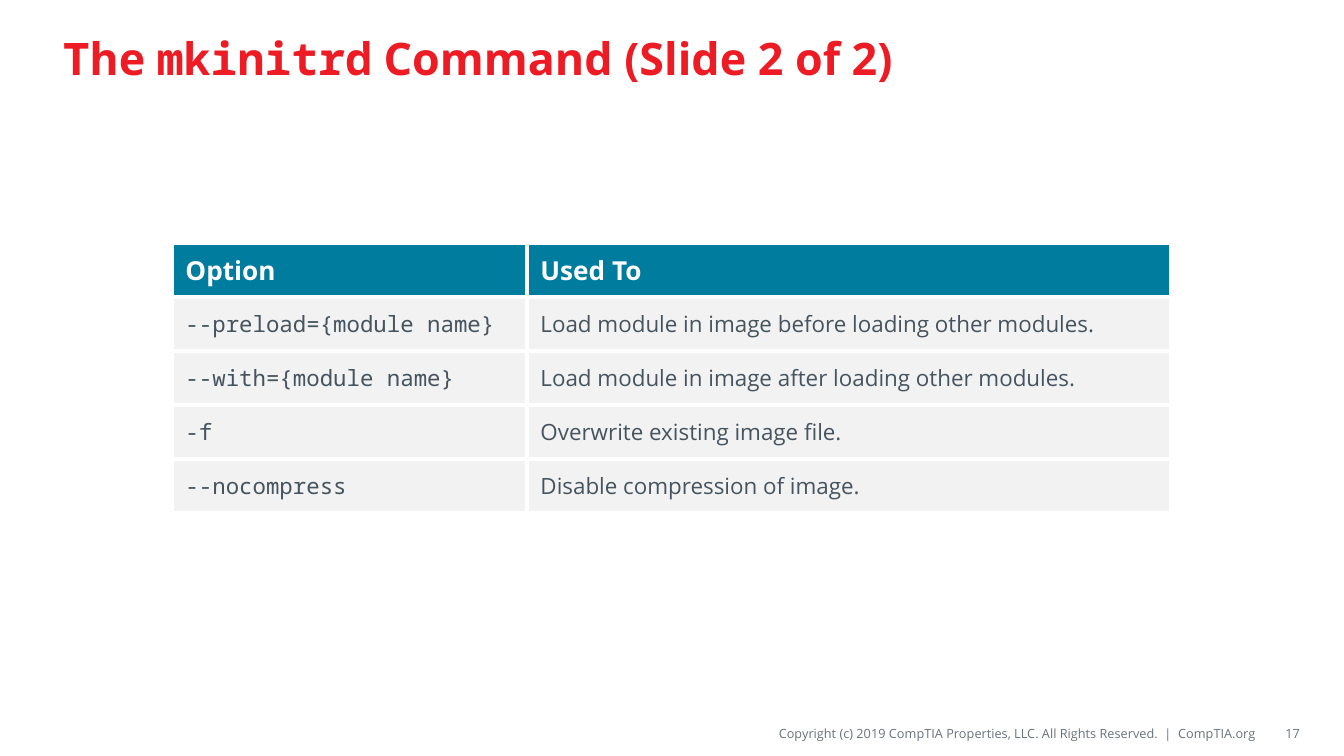
from dataclasses import dataclass

import lxml.etree
import pptx
import pptx.dml.color
import pptx.enum.text
import pptx.oxml.ns
import pptx.util


@dataclass(frozen=True)
class Theme:
    sans: str = "Open Sans"
    mono: str = "Noto Sans Mono"
    red: str = "ED1C24"
    teal: str = "007C9E"
    slate: str = "45545F"
    grey: str = "69727B"
    pale: str = "F2F2F2"
    white: str = "FFFFFF"
    title_size: float = 24
    header_size: float = 14
    body_size: float = 12
    footer_size: float = 6.8
    border: float = 2.25


theme = Theme()
PX = 914400 / 134.4
MIDDLE = pptx.enum.text.MSO_ANCHOR.MIDDLE


def px(*lengths):
    """Turn px lengths into a list of EMU lengths."""
    return [pptx.util.Emu(round(length * PX)) for length in lengths]


def format_run(span, face, size, color, bold=False):
    span.font.name = face
    span.font.size = pptx.util.Pt(size)
    span.font.bold = bold
    span.font.color.rgb = pptx.dml.color.RGBColor.from_string(color)


deck = pptx.Presentation()
deck.slide_width, deck.slide_height = px(1344, 756)
page = deck.slides.add_slide(deck.slide_layouts[5])

# Title
title = page.shapes.title
title.left, title.top, title.width, title.height = px(50, 11, 1243, 93)
title.text_frame.vertical_anchor = MIDDLE
title.text_frame.word_wrap = True
title_para = title.text_frame.paragraphs[0]
title_para.alignment = pptx.enum.text.PP_ALIGN.LEFT
for text, face in [
    ("The ", theme.sans),
    ("mkinitrd", theme.mono),
    (" Command (Slide 2 of 2)", theme.sans),
]:
    span = title_para.add_run()
    span.text = text
    format_run(span, face, theme.title_size, theme.red, bold=True)

# Options table
rows = [
    ("Option", "Used To"),
    ("--preload={module name}", "Load module in image before loading other modules."),
    ("--with={module name}", "Load module in image after loading other modules."),
    ("-f", "Overwrite existing image file."),
    ("--nocompress", "Disable compression of image."),
]
column_widths = (355, 644)
row_height = 54
table = page.shapes.add_table(
    len(rows), len(column_widths),
    *px(172, 243, sum(column_widths), row_height * len(rows)),
).table
for column, width in zip(table.columns, px(*column_widths)):
    column.width = width
for row in table.rows:
    row.height = px(row_height)[0]

for row_index, texts in enumerate(rows):
    is_header = row_index == 0
    for column_index, text in enumerate(texts):
        cell = table.cell(row_index, column_index)
        cell.vertical_anchor = MIDDLE
        cell.text_frame.text = text
        span = cell.text_frame.paragraphs[0].runs[0]
        if is_header:
            format_run(span, theme.sans, theme.header_size, theme.white, bold=True)
        else:
            face = (theme.mono, theme.sans)[column_index]
            format_run(span, face, theme.body_size, theme.slate)

        properties = cell._tc.get_or_add_tcPr()
        for side in ("a:lnL", "a:lnR", "a:lnT", "a:lnB"):
            line = lxml.etree.SubElement(
                properties, pptx.oxml.ns.qn(side), w=str(pptx.util.Pt(theme.border)))
            line_fill = lxml.etree.SubElement(line, pptx.oxml.ns.qn("a:solidFill"))
            lxml.etree.SubElement(
                line_fill, pptx.oxml.ns.qn("a:srgbClr"), val=theme.white)
        cell.fill.solid()
        cell.fill.fore_color.rgb = pptx.dml.color.RGBColor.from_string(
            theme.teal if is_header else theme.pale)

# Footer: copyright line and page number
copyright_line = (
    "Copyright (c) 2019 CompTIA Properties, LLC. All Rights Reserved.  |  CompTIA.org"
)
for text, left, width in [(copyright_line, 521, 735), ("17", 1261, 39)]:
    box = page.shapes.add_textbox(*px(left, 718, width, 30))
    frame = box.text_frame
    frame.word_wrap = True
    frame.vertical_anchor = MIDDLE
    frame.margin_left = frame.margin_right = 0
    frame.margin_top = frame.margin_bottom = px(5)[0]
    frame.text = text
    frame.paragraphs[0].alignment = pptx.enum.text.PP_ALIGN.RIGHT
    format_run(frame.paragraphs[0].runs[0], theme.sans, theme.footer_size, theme.grey)

deck.save("out.pptx")
